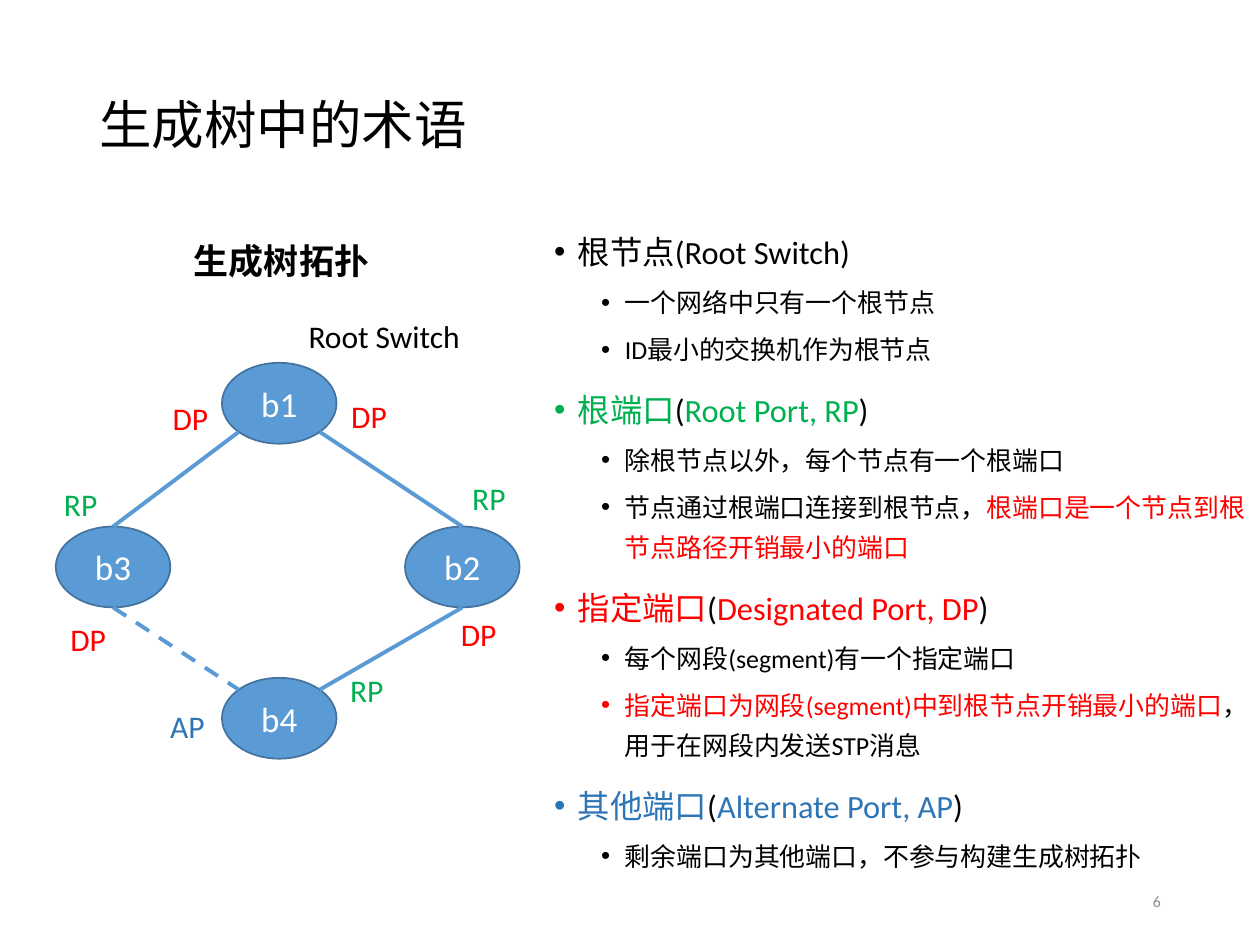
"""Build a slide explaining spanning tree terms beside a four-switch topology."""
import math

import lxml.etree
import pptx
import pptx.dml.color
import pptx.enum.dml
import pptx.enum.shapes
import pptx.enum.text
import pptx.oxml.ns
import pptx.util

Cm, Pt = pptx.util.Cm, pptx.util.Pt
PP_ALIGN = pptx.enum.text.PP_ALIGN
MSO_ANCHOR = pptx.enum.text.MSO_ANCHOR
COLORS = {
    "black": "000000", "white": "FFFFFF", "gray": "8C8C8C", "switch": "5B9BD5",
    "outline": "43739E", "green": "00B050", "red": "FF0000", "blue": "2E75B6",
}


def format_paragraph(paragraph, size, color, bold=False, align=PP_ALIGN.LEFT):
    paragraph.alignment = align
    paragraph.font.name = "Calibri"
    paragraph.font.size = Pt(size)
    paragraph.font.bold = bold
    paragraph.font.color.rgb = pptx.dml.color.RGBColor.from_string(COLORS[color])


def add_label(text, left, top, width, height, size, color, bold=False, align=PP_ALIGN.LEFT):
    label = slide.shapes.add_textbox(Cm(left), Cm(top), Cm(width), Cm(height))
    label.text_frame.text = text
    label.text_frame.vertical_anchor = MSO_ANCHOR.MIDDLE
    format_paragraph(label.text_frame.paragraphs[0], size, color, bold, align)
    label.text_frame.word_wrap = False


presentation = pptx.Presentation()
presentation.slide_width, presentation.slide_height = Cm(25.4), Cm(19.05)
slide = presentation.slides.add_slide(presentation.slide_layouts[5])

title = slide.shapes.title
title.left, title.top, title.width, title.height = Cm(1.75), Cm(1.02), Cm(21.9), Cm(3.12)
title.text_frame.text = "生成树中的术语"
title.text_frame.auto_size = pptx.enum.text.MSO_AUTO_SIZE.NONE
title.text_frame.vertical_anchor = MSO_ANCHOR.MIDDLE
title.text_frame.paragraphs[0].line_spacing = 0.9
format_paragraph(title.text_frame.paragraphs[0], 30, "black")

switch_width, switch_height = 2.31, 1.63
switch_centers = {"b1": (5.63, 8.13), "b3": (2.28, 11.43), "b2": (9.32, 11.43), "b4": (5.63, 14.48)}
for name, (x, y) in switch_centers.items():
    switch = slide.shapes.add_shape(
        pptx.enum.shapes.MSO_SHAPE.OVAL, Cm(x - switch_width / 2), Cm(y - switch_height / 2),
        Cm(switch_width), Cm(switch_height))
    switch.shadow.inherit = False
    switch.fill.solid()
    switch.fill.fore_color.rgb = pptx.dml.color.RGBColor.from_string(COLORS["switch"])
    switch.line.color.rgb = pptx.dml.color.RGBColor.from_string(COLORS["outline"])
    switch.line.width = Pt(1)
    switch.text_frame.text = name
    switch.text_frame.vertical_anchor = MSO_ANCHOR.MIDDLE
    format_paragraph(switch.text_frame.paragraphs[0], 20, "white", align=PP_ALIGN.CENTER)

links = [
    ("b1", 135, "b3", 270, False),
    ("b1", 45, "b2", 270, False),
    ("b3", 90, "b4", 225, True),
    ("b2", 90, "b4", 315, False),
]
for start, start_angle, end, end_angle, dashed in links:
    points = []
    for name, angle in ((start, start_angle), (end, end_angle)):
        x, y = switch_centers[name]
        points += [Cm(x + switch_width / 2 * math.cos(math.radians(angle))),
                   Cm(y + switch_height / 2 * math.sin(math.radians(angle)))]
    link = slide.shapes.add_connector(pptx.enum.shapes.MSO_CONNECTOR.STRAIGHT, *points)
    link.line.color.rgb = pptx.dml.color.RGBColor.from_string(COLORS["switch"])
    link.line.width = Pt(2.25)
    if dashed:
        link.line.dash_style = pptx.enum.dml.MSO_LINE.DASH
    lxml.etree.SubElement(link._element.spPr, pptx.oxml.ns.qn("a:effectLst"))

add_label("生成树拓扑", 3.66, 4.7, 4.09, 1.12, 20, "black", bold=True)
add_label("Root Switch", 5.97, 6.27, 3.61, 1.02, 18, "black")

port_colors = {"RP": "green", "DP": "red", "AP": "blue"}
ports = [
    ("RP", 1.04, 9.65), ("RP", 9.27, 9.53), ("RP", 6.81, 13.39),
    ("DP", 3.23, 7.92), ("DP", 6.83, 7.87), ("DP", 1.17, 12.37), ("DP", 9.04, 12.27),
    ("AP", 3.18, 14.12),
]
for port, left, top in ports:
    add_label(port, left, top, 1.22, 1.02, 18, port_colors[port])

terms = [
    (0, [("根节点(Root Switch)", "black")]),
    (1, [("一个网络中只有一个根节点", "black")]),
    (1, [("ID最小的交换机作为根节点", "black")]),
    (0, [("根端口", "green"), ("(", "black"), ("Root Port, RP", "green"), (")", "black")]),
    (1, [("除根节点以外，每个节点有一个根端口", "black")]),
    (1, [("节点通过根端口连接到根节点，", "black"),
         ("根端口是一个节点到根节点路径开销最小的端口", "red")]),
    (0, [("指定端口", "red"), ("(", "black"), ("Designated Port, DP", "red"), (")", "black")]),
    (1, [("每个网段(segment)有一个指定端口", "black")]),
    (1, [("指定端口为网段(segment)中到根节点开销最小的端口", "red"),
         ("，用于在网段内发送STP消息", "black")]),
    (0, [("其他端口", "blue"), ("(", "black"), ("Alternate Port, AP", "blue"), (")", "black")]),
    (1, [("剩余端口为其他端口，不参与构建生成树拓扑", "black")]),
]
term_box = slide.shapes.add_textbox(Cm(10.92), Cm(4.32), Cm(14.48), Cm(14))
term_box.text_frame.word_wrap = True
for index, (level, runs) in enumerate(terms):
    paragraph = term_box.text_frame.paragraphs[0] if index == 0 else term_box.text_frame.add_paragraph()
    paragraph.level = level
    properties = paragraph._p.get_or_add_pPr()
    properties.set("marL", str(Cm((0.48, 1.43)[level])))
    properties.set("indent", str(Cm(-0.48)))
    lxml.etree.SubElement(properties, pptx.oxml.ns.qn("a:buFont"), typeface="Arial")
    lxml.etree.SubElement(properties, pptx.oxml.ns.qn("a:buChar"), char="•")
    paragraph.line_spacing = 1.3
    paragraph.space_before = Pt((7.5, 3.8)[level] if index else 0)
    format_paragraph(paragraph, (18.5, 14.8)[level], runs[0][1])
    for text, color in runs:
        run = paragraph.add_run()
        run.text = text
        run.font.color.rgb = pptx.dml.color.RGBColor.from_string(COLORS[color])

add_label("6", 17.93, 17.65, 5.72, 1.02, 9, "gray", align=PP_ALIGN.RIGHT)

presentation.save("out.pptx")
